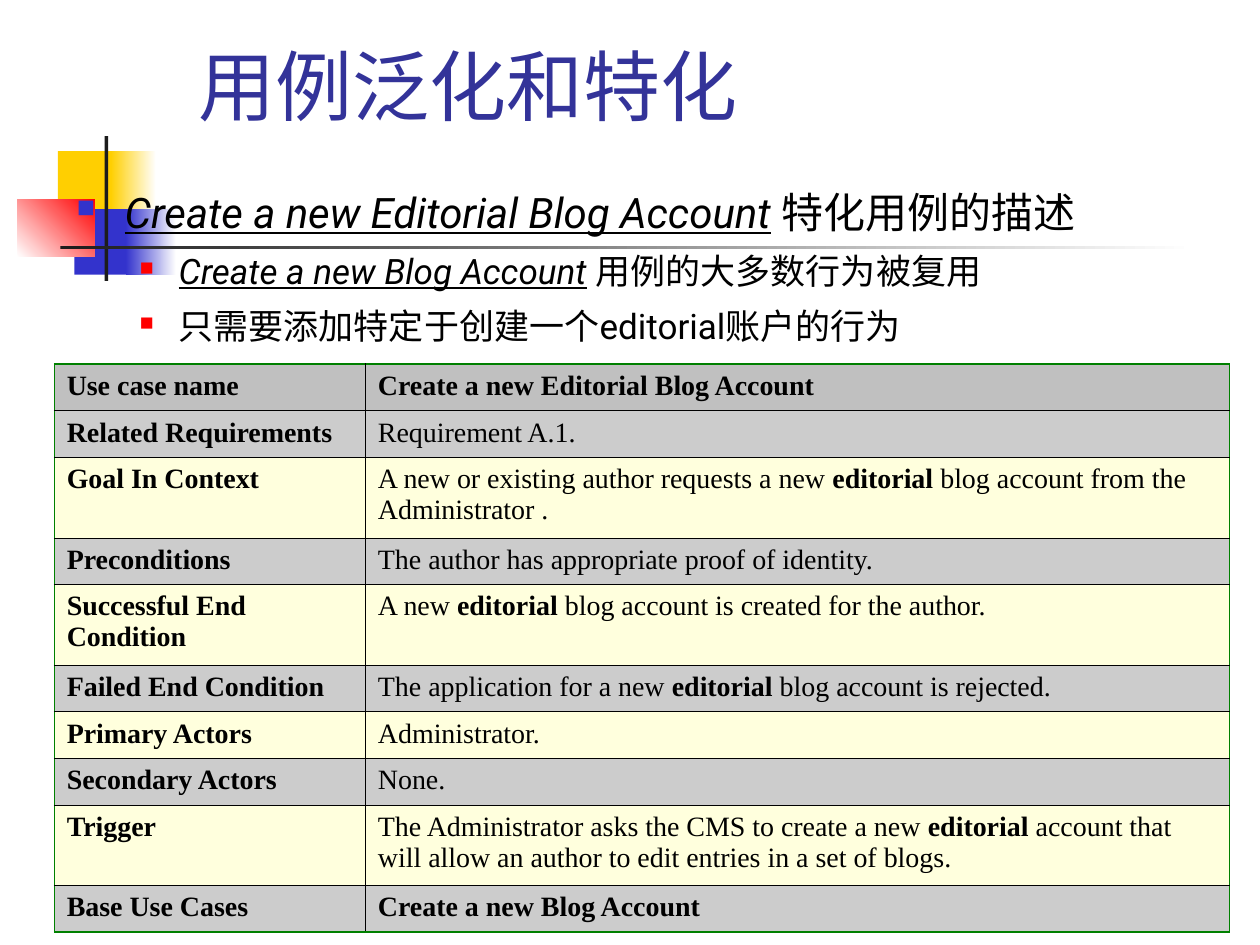
from lxml.etree import SubElement
from pptx import Presentation
from pptx.dml.color import RGBColor
from pptx.enum.shapes import MSO_SHAPE
from pptx.enum.text import MSO_ANCHOR
from pptx.oxml.ns import qn
from pptx.util import Pt

PX = 9144  # 100 px to the inch
COLORS = {
    "yellow": "FFCF01", "blue": "3333CC", "red": "FF0000", "dark": "1C1C1C",
    "white": "FFFFFF", "black": "000000", "title": "333399", "green": "008000",
    "header": "C0C0C0", "gray": "CCCCCC", "cream": "FFFFDD",
}


def rgb(name):
    return RGBColor.from_string(COLORS[name])


def add_run(paragraph, text, font_name, size, color):
    """Add a run whose font also covers the Chinese characters."""
    run = paragraph.add_run()
    run.text = text
    run.font.name = font_name
    run.font.size = Pt(size)
    run.font.color.rgb = rgb(color)
    SubElement(run.font._element, qn("a:ea"), typeface=font_name)
    return run


presentation = Presentation()
presentation.slide_width = 1000 * PX
presentation.slide_height = 750 * PX
slide = presentation.slides.add_slide(presentation.slide_layouts[6])

# Decoration: left, top, width, height, first colour, last colour, angle
decorations = [
    (46, 120, 48, 52, "yellow", None, 0),
    (88, 120, 36, 52, "yellow", "white", 0),
    (59, 166, 46, 52, "blue", None, 0),
    (100, 166, 40, 52, "blue", "white", 0),
    (14, 158, 61, 46, "white", "red", 45),
    (83, 108, 3, 115, "dark", None, 0),
    (48, 195, 900, 3, "dark", "white", 0),
]
for left, top, width, height, first, last, angle in decorations:
    shape = slide.shapes.add_shape(
        MSO_SHAPE.RECTANGLE, left * PX, top * PX, width * PX, height * PX)
    shape.shadow.inherit = False
    shape.line.fill.background()
    if last is None:
        shape.fill.solid()
        shape.fill.fore_color.rgb = rgb(first)
    else:
        shape.fill.gradient()
        shape.fill.gradient_angle = angle
        for stop, color in zip(shape.fill.gradient_stops, (first, last)):
            stop.color.rgb = rgb(color)

# Use case table: name, description (** switches bold), fill, row height
use_case = [
    ("Use case name", "**Create a new Editorial Blog Account**", "header", 37),
    ("Related Requirements", "Requirement A.1.", "gray", 37),
    ("Goal In Context", "A new or existing author requests a new **editorial** "
     "blog account from the Administrator .", "cream", 64),
    ("Preconditions", "The author has appropriate proof of identity.", "gray", 37),
    ("Successful End Condition",
     "A new **editorial** blog account is created for the author.", "cream", 64),
    ("Failed End Condition",
     "The application for a new **editorial** blog account is rejected.", "gray", 37),
    ("Primary Actors", "Administrator.", "cream", 37),
    ("Secondary Actors", "None.", "gray", 37),
    ("Trigger", "The Administrator asks the CMS to create a new **editorial **"
     "account that will allow an author to edit entries in a set of blogs.",
     "cream", 64),
    ("Base Use Cases", "**Create a new Blog Account**", "gray", 37),
]
column_widths = (247, 686)
table_height = sum(row[3] for row in use_case)
table = slide.shapes.add_table(
    len(use_case), 2, 43 * PX, 289 * PX, sum(column_widths) * PX,
    table_height * PX).table
table.first_row = False
table.horz_banding = False
for column, width in zip(table.columns, column_widths):
    column.width = width * PX

last_row = len(use_case) - 1
for row_index, (name, description, fill, height) in enumerate(use_case):
    table.rows[row_index].height = height * PX
    for column_index, text in enumerate((f"**{name}**", description)):
        cell = table.cell(row_index, column_index)
        cell.margin_left = cell.margin_right = 10 * PX
        cell.margin_top = cell.margin_bottom = 5 * PX
        paragraph = cell.text_frame.paragraphs[0]
        for part_index, part in enumerate(text.split("**")):
            if part:
                run = add_run(paragraph, part, "Times New Roman", 16, "black")
                run.font.bold = part_index % 2 == 1
        borders = [
            ("a:lnL", column_index == 0, 0.45, 0.34),
            ("a:lnR", column_index == 1, 0.45, 0.34),
            ("a:lnT", row_index == 0, 0.96, 0.45),
            ("a:lnB", row_index == last_row, 0.96, 0.45),
        ]
        properties = cell._tc.get_or_add_tcPr()
        for tag, is_outer, outer_width, inner_width in borders:
            line_width = Pt(outer_width if is_outer else inner_width)
            line = SubElement(properties, qn(tag), w=str(line_width))
            line_fill = SubElement(line, qn("a:solidFill"))
            SubElement(line_fill, qn("a:srgbClr"),
                       val=COLORS["green" if is_outer else "black"])
        cell.fill.solid()
        cell.fill.fore_color.rgb = rgb(fill)

# Title
title = slide.shapes.add_textbox(148 * PX, 0, 852 * PX, 109 * PX)
title.text_frame.word_wrap = True
title.text_frame.vertical_anchor = MSO_ANCHOR.BOTTOM
add_run(title.text_frame.paragraphs[0], "用例泛化和特化", "Roboto", 44, "title")

# Bullets: level, underlined use case, remaining text
bullets = [
    (0, "Create a new Editorial Blog Account", " 特化用例的描述"),
    (1, "Create a new Blog Account", " 用例的大多数行为被复用"),
    (1, "", "只需要添加特定于创建一个editorial账户的行为"),
]
# Per level: left margin, indent, bullet colour, bullet percent, text size
level_styles = [(38, -38, "blue", 60, 24), (81, -31, "red", 55, 20)]
body = slide.shapes.add_textbox(51 * PX, 139 * PX, 921 * PX, 181 * PX)
text_frame = body.text_frame
text_frame.word_wrap = True
for index, (level, use_case_name, text) in enumerate(bullets):
    margin, indent, bullet_color, percent, size = level_styles[level]
    paragraph = text_frame.add_paragraph() if index else text_frame.paragraphs[0]
    paragraph.level = level
    paragraph.line_spacing = 1.1
    if index:
        paragraph.space_before = Pt(5)
    properties = paragraph._p.get_or_add_pPr()
    properties.set("marL", str(margin * PX))
    properties.set("indent", str(indent * PX))
    color_element = SubElement(properties, qn("a:buClr"))
    SubElement(color_element, qn("a:srgbClr"), val=COLORS[bullet_color])
    SubElement(properties, qn("a:buSzPct"), val=str(percent * 1000))
    SubElement(properties, qn("a:buChar"), char="■")
    if use_case_name:
        run = add_run(paragraph, use_case_name, "Roboto", size, "black")
        run.font.italic = True
        run.font.underline = True
    add_run(paragraph, text, "Roboto", size, "black")

presentation.save("out.pptx")
